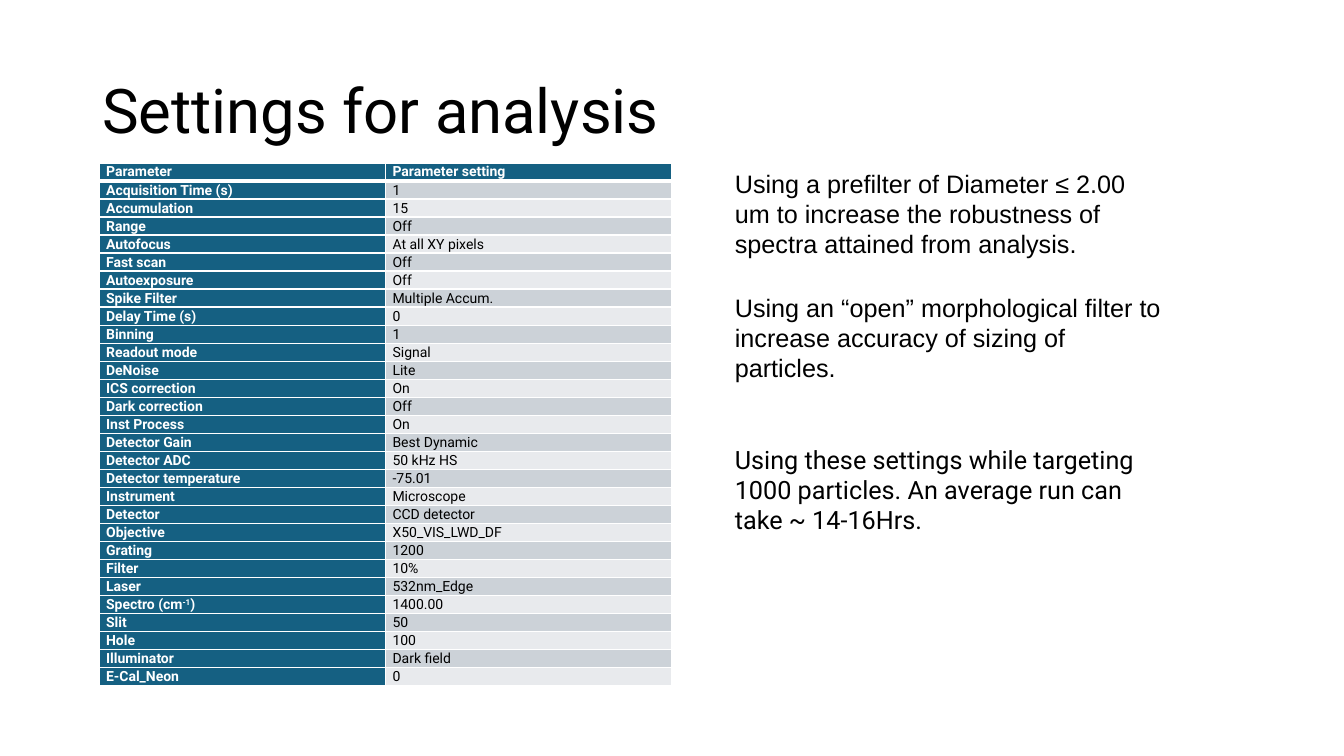
"""Build the slide that lists the analysis settings beside three short remarks."""
from dataclasses import dataclass

import pptx
import pptx.dml.color
import pptx.enum.text
import pptx.oxml
import pptx.oxml.ns
import pptx.util


@dataclass(frozen=True)
class Theme:
    ink: str = "000000"
    paper: str = "FFFFFF"
    accent: str = "156082"
    bands: tuple = ("E8EAED", "CCD2D8")
    font: str = "Roboto"
    remark_font: str = "Arial"
    title_size: int = 44
    remark_size: int = 18
    table_size: int = 10
    rule: int = 1
    header_rule: int = 3


GRID_COLUMNS, GRID_ROWS = 160, 90

SETTINGS = [
    ("Parameter", "Parameter setting"),
    ("Acquisition Time (s)", "1"),
    ("Accumulation", "15"),
    ("Range", "Off"),
    ("Autofocus", "At all XY pixels"),
    ("Fast scan", "Off"),
    ("Autoexposure", "Off"),
    ("Spike Filter", "Multiple Accum."),
    ("Delay Time (s)", "0"),
    ("Binning", "1"),
    ("Readout mode", "Signal"),
    ("DeNoise", "Lite"),
    ("ICS correction", "On"),
    ("Dark correction", "Off"),
    ("Inst Process", "On"),
    ("Detector Gain", "Best Dynamic"),
    ("Detector ADC", "50 kHz HS"),
    ("Detector temperature", "-75.01"),
    ("Instrument", "Microscope"),
    ("Detector", "CCD detector"),
    ("Objective", "X50_VIS_LWD_DF"),
    ("Grating", "1200"),
    ("Filter", "10%"),
    ("Laser", "532nm_Edge"),
    ("Spectro (cm|-1|)", "1400.00"),
    ("Slit", "50"),
    ("Hole", "100"),
    ("Illuminator", "Dark field"),
    ("E-Cal_Neon", "0"),
]


def write_text(frame, text, *, size, font, color, bold=False, spacing=None):
    """Fill a text frame; a part between bars is superscript."""
    paragraph = frame.paragraphs[0]
    paragraph.line_spacing = spacing
    for index, part in enumerate(text.split("|")):
        run = paragraph.add_run()
        run.text = part
        run.font.size = pptx.util.Pt(size)
        run.font.name = font
        run.font.bold = bold
        run.font.color.rgb = pptx.dml.color.RGBColor.from_string(color)
        if index % 2:
            run.font._element.set("baseline", "30000")


class SlideBuilder:
    """Place elements on one slide by grid columns and rows."""

    def __init__(self, presentation, theme):
        self.theme = theme
        self.column = presentation.slide_width / GRID_COLUMNS
        self.row = presentation.slide_height / GRID_ROWS
        self.slide = presentation.slides.add_slide(presentation.slide_layouts[6])

    def place(self, left, top, width, height):
        """Turn grid units into slide lengths."""
        return (int(left * self.column), int(top * self.row),
                int(width * self.column), int(height * self.row))

    def text(self, text, area, middle=False, **text_format):
        """Add a wrapping text box."""
        frame = self.slide.shapes.add_textbox(*self.place(*area)).text_frame
        frame.word_wrap = True
        if middle:
            frame.vertical_anchor = pptx.enum.text.MSO_ANCHOR.MIDDLE
        write_text(frame, text, **text_format)

    def borders(self, cell, top, bottom):
        """Draw the four edges of a table cell."""
        properties = cell._tc.get_or_add_tcPr()
        widths = {"L": self.theme.rule, "R": self.theme.rule, "T": top, "B": bottom}
        for side, width in widths.items():
            properties.append(pptx.oxml.parse_xml(
                f'<a:ln{side} {pptx.oxml.ns.nsdecls("a")} w="{pptx.util.Pt(width)}">'
                f'<a:solidFill><a:srgbClr val="{self.theme.paper}"/></a:solidFill></a:ln{side}>'))

    def table(self, records, area):
        """Add a table with a dark header row and first column."""
        theme = self.theme
        shape = self.slide.shapes.add_table(len(records), len(records[0]), *self.place(*area))
        for row, record in enumerate(records):
            for column, text in enumerate(record):
                cell = shape.table.cell(row, column)
                heading = row == 0 or column == 0
                self.borders(cell,
                             top=theme.header_rule if row == 1 else theme.rule,
                             bottom=theme.header_rule if row == 0 else theme.rule)
                cell.fill.solid()
                fill = theme.accent if heading else theme.bands[row % 2]
                cell.fill.fore_color.rgb = pptx.dml.color.RGBColor.from_string(fill)
                cell.margin_left = cell.margin_right = pptx.util.Inches(0.07)
                cell.margin_top = cell.margin_bottom = 0
                write_text(cell.text_frame, text, size=theme.table_size, font=theme.font,
                           color=theme.paper if heading else theme.ink,
                           bold=heading, spacing=1.07)


def main():
    """Build and save the presentation."""
    presentation = pptx.Presentation()
    presentation.slide_width = pptx.util.Inches(13.33)
    presentation.slide_height = pptx.util.Inches(7.5)
    theme = Theme()
    builder = SlideBuilder(presentation, theme)

    builder.text("Settings for analysis", (11, 4.8, 138, 17.4), middle=True,
                 size=theme.title_size, font=theme.font, color=theme.ink, spacing=0.9)
    builder.table(SETTINGS, (11.8, 19.4, 68.2, 59.8))

    remarks = [
        (19.4, theme.remark_font, "Using a prefilter of Diameter ≤ 2.00 um to increase "
         "the robustness of spectra attained from analysis."),
        (34.2, theme.remark_font, "Using an “open” morphological filter to increase "
         "accuracy of sizing of particles."),
        (52.3, theme.font, "Using these settings while targeting 1000 particles. "
         "An average run can take ~ 14-16Hrs."),
    ]
    for top, font, text in remarks:
        builder.text(text, (86.3, top, 53.5, 12.1),
                     size=theme.remark_size, font=font, color=theme.ink)

    presentation.save("out.pptx")


if __name__ == "__main__":
    main()
